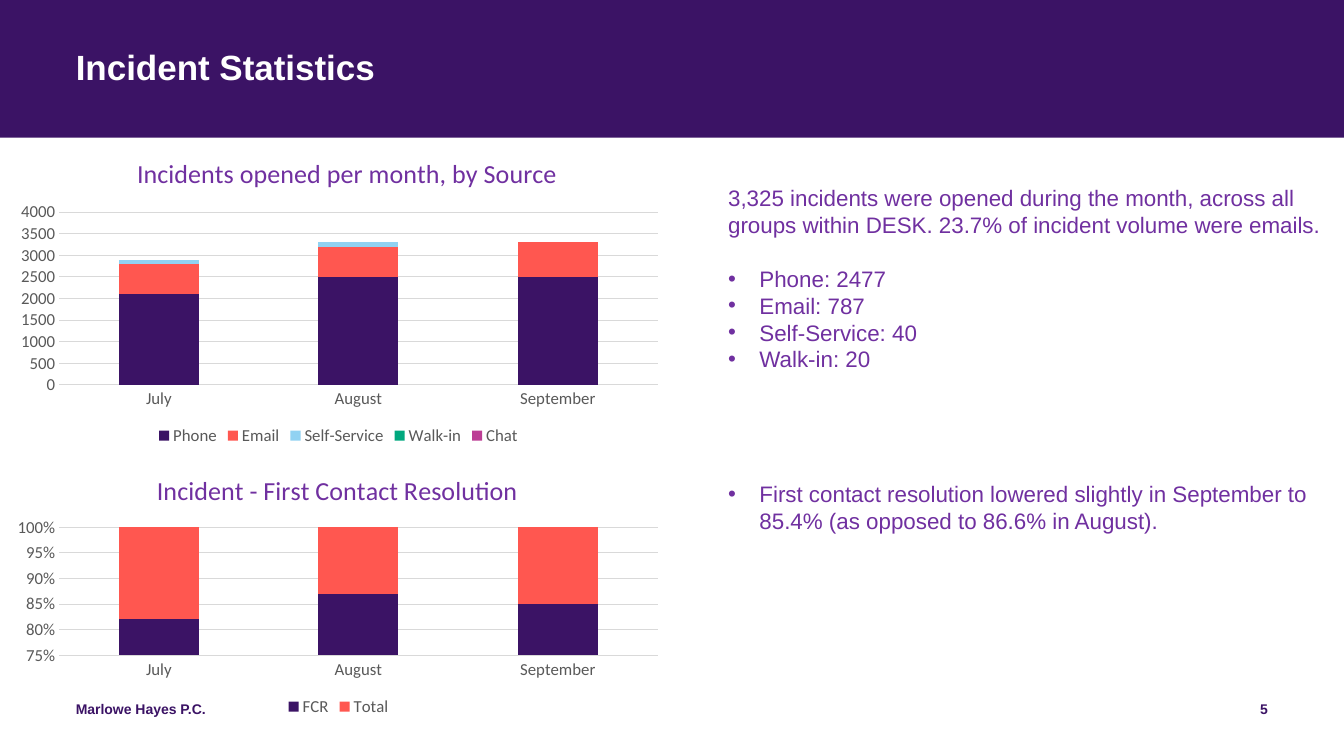
"""Build the incident statistics slide with two stacked charts and a commentary."""
import pptx
import pptx.chart.data
import pptx.dml.color
import pptx.enum.chart
import pptx.enum.shapes
import pptx.enum.text
import pptx.oxml
import pptx.oxml.ns
import pptx.util

Cm, Pt = pptx.util.Cm, pptx.util.Pt
RGB = pptx.dml.color.RGBColor.from_string
qn = pptx.oxml.ns.qn
ALIGN = pptx.enum.text.PP_ALIGN
KIND = pptx.enum.chart.XL_CHART_TYPE

THEME = {
    "purple": RGB("3B1365"),
    "violet": RGB("7030A0"),
    "white": RGB("FFFFFF"),
    "grey": RGB("595959"),
    "grid": RGB("D9D9D9"),
    "series": [RGB(c) for c in ("3B1365", "FF5750", "91D2F2", "00A87E", "BC3D95")],
    "heading": {"name": "Arial", "size": Pt(25), "bold": True},
    "body": {"name": "Arial", "size": Pt(16)},
    "footer": {"name": "Arial", "size": Pt(10), "bold": True},
    "chart title": {"name": "Calibri", "size": Pt(18.6), "bold": False},
    "chart label": {"name": "Calibri", "size": Pt(12)},
}
FLUSH = {"margin_left": 0, "margin_top": 0, "margin_right": 0, "margin_bottom": 0, "word_wrap": True}


def style(font, role, colour):
    for key, value in THEME[role].items():
        setattr(font, key, value)
    font.color.rgb = THEME[colour]


def lay_out(parent, index, settings):
    for old in parent.findall(qn("c:layout")):
        parent.remove(old)
    items = "".join(f'<c:{key} val="{value}"/>' for key, value in settings.items())
    parent.insert(index, pptx.oxml.parse_xml(
        f'<c:layout {pptx.oxml.ns.nsdecls("c")}><c:manualLayout>{items}</c:manualLayout></c:layout>'))


deck = pptx.Presentation()
deck.slide_width, deck.slide_height = Cm(33.87), Cm(19.05)
slide = deck.slides.add_slide(deck.slide_layouts[5])

heading = slide.shapes.title
band = slide.shapes.add_shape(pptx.enum.shapes.MSO_SHAPE.RECTANGLE, 0, 0, deck.slide_width, Cm(3.47))
band.shadow.inherit = False
band.fill.solid()
band.fill.fore_color.rgb = THEME["purple"]
band.line.fill.background()
heading.element.addprevious(band.element)

heading_place = {"left": Cm(1.91), "top": Cm(1.27), "width": Cm(30.06), "height": Cm(2.05)}
for key, value in heading_place.items():
    setattr(heading, key, value)
heading_frame = heading.text_frame
heading_frame.text = "Incident Statistics"
for key, value in {**FLUSH, "vertical_anchor": pptx.enum.text.MSO_ANCHOR.TOP,
                   "auto_size": pptx.enum.text.MSO_AUTO_SIZE.NONE}.items():
    setattr(heading_frame, key, value)
heading_line = heading_frame.paragraphs[0]
heading_line.alignment = ALIGN.LEFT
heading_line.line_spacing = 0.9
style(heading_line.font, "heading", "white")

for words, left, width, align in [
    ("Marlowe Hayes P.C.", 1.91, 11.43, ALIGN.LEFT),
    ("5", 24.33, 7.62, ALIGN.RIGHT),
]:
    footer = slide.shapes.add_textbox(Cm(left), Cm(17.65), Cm(width), Cm(1.02)).text_frame
    for key, value in FLUSH.items():
        setattr(footer, key, value)
    footer.text = words
    footer.paragraphs[0].alignment = align
    style(footer.paragraphs[0].font, "footer", "purple")

charts = [
    {
        "title": "Incidents opened per month, by Source", "kind": KIND.COLUMN_STACKED,
        "top": 3.56, "height": 7.77, "format": "General",
        "scale": {"minimum_scale": 0, "maximum_scale": 4000, "major_unit": 500},
        "title at": {"x": 0.19, "y": 0.03},
        "plot at": {"x": 0.08, "y": 0.23, "w": 0.9, "h": 0.56},
        "series": {
            "Phone": (2100, 2500, 2500), "Email": (700, 700, 800), "Self-Service": (100, 100, 0),
            "Walk-in": (0, 0, 0), "Chat": (0, 0, 0),
        },
    },
    {
        "title": "Incident - First Contact Resolution", "kind": KIND.COLUMN_STACKED_100,
        "top": 11.58, "height": 6.58, "format": "0%",
        "scale": {"minimum_scale": 0.75, "maximum_scale": 1, "major_unit": 0.05},
        "title at": {"x": 0.22, "y": 0.03},
        "plot at": {"x": 0.08, "y": 0.26, "w": 0.9, "h": 0.49},
        "series": {"FCR": (82, 87, 85), "Total": (18, 13, 15)},
    },
]
for topic in charts:
    data = pptx.chart.data.CategoryChartData()
    data.categories = ["July", "August", "September"]
    for name, values in topic["series"].items():
        data.add_series(name, values)
    chart = slide.shapes.add_chart(topic["kind"], Cm(0.15), Cm(topic["top"]),
                                   Cm(16.76), Cm(topic["height"]), data).chart
    style(chart.font, "chart label", "grey")

    chart.has_title = True
    chart.chart_title.text_frame.text = topic["title"]
    style(chart.chart_title.text_frame.paragraphs[0].runs[0].font, "chart title", "violet")
    lay_out(chart.element.find(".//" + qn("c:title")), 1,
            {"xMode": "edge", "yMode": "edge", **topic["title at"]})
    lay_out(chart.element.find(".//" + qn("c:plotArea")), 0,
            {"layoutTarget": "inner", "xMode": "edge", "yMode": "edge", **topic["plot at"]})

    chart.has_legend = True
    chart.legend.position = pptx.enum.chart.XL_LEGEND_POSITION.BOTTOM
    chart.legend.include_in_layout = False
    style(chart.legend.font, "chart label", "grey")

    months, amounts = chart.category_axis, chart.value_axis
    for axis in (months, amounts):
        axis.major_tick_mark = axis.minor_tick_mark = pptx.enum.chart.XL_TICK_MARK.NONE
        style(axis.tick_labels.font, "chart label", "grey")
    for key, value in topic["scale"].items():
        setattr(amounts, key, value)
    amounts.tick_labels.number_format = topic["format"]
    amounts.tick_labels.number_format_is_linked = False
    amounts.format.line.fill.background()
    for line in (months.format.line, amounts.major_gridlines.format.line):
        line.color.rgb = THEME["grid"]
        line.width = Pt(0.75)

    columns = chart.plots[0]
    for key, value in {"gap_width": 150, "overlap": 100, "vary_by_categories": False}.items():
        setattr(columns, key, value)
    for series, colour in zip(columns.series, THEME["series"]):
        series.format.fill.solid()
        series.format.fill.fore_color.rgb = colour

commentary = slide.shapes.add_textbox(Cm(18.1), Cm(4.51), Cm(15.62), Cm(12.58)).text_frame
commentary.word_wrap = True
remarks = [
    ("3,325 incidents were opened during the month, across all groups within DESK. "
     "23.7% of incident volume were emails.", False, 0),
    ("Phone: 2477", True, 19.5),
    ("Email: 787", True, 0),
    ("Self-Service: 40", True, 0),
    ("Walk-in: 20", True, 0),
    ("First contact resolution lowered slightly in September to 85.4% "
     "(as opposed to 86.6% in August).", True, 77),
]
for position, (words, bulleted, gap) in enumerate(remarks):
    remark = commentary.add_paragraph() if position else commentary.paragraphs[0]
    remark.text = words
    if gap:
        remark.space_before = Pt(gap)
    if bulleted:
        properties = remark._p.get_or_add_pPr()
        properties.set("marL", str(Cm(0.79)))
        properties.set("indent", str(-Cm(0.79)))
        properties.append(pptx.oxml.parse_xml(
            f'<a:buFont {pptx.oxml.ns.nsdecls("a")} typeface="Arial"/>'))
        properties.append(pptx.oxml.parse_xml(
            f'<a:buChar {pptx.oxml.ns.nsdecls("a")} char="•"/>'))
    style(remark.font, "body", "violet")

deck.save("out.pptx")
